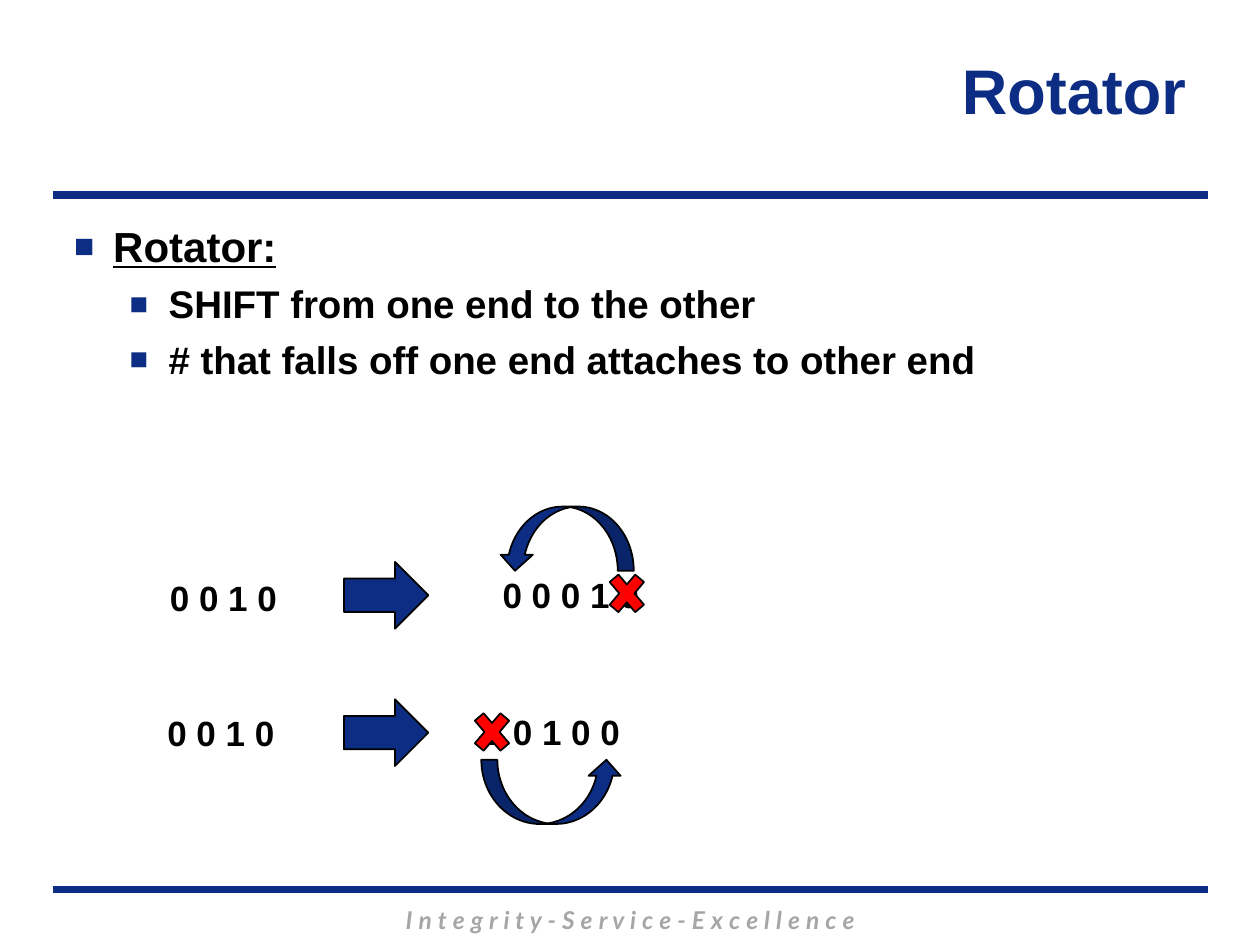
from lxml.etree import SubElement
from pptx import Presentation
from pptx.dml.color import RGBColor
from pptx.enum.shapes import MSO_CONNECTOR, MSO_SHAPE
from pptx.enum.text import MSO_ANCHOR, PP_ALIGN
from pptx.oxml.ns import qn
from pptx.util import Inches, Pt

# Content
NAVY, BLACK, RED, GREY = "0C2D83", "000000", "FF0000", "A6A6A6"
TITLE = "Rotator"
MOTTO = "I n t e g r i t y - S e r v i c e - E x c e l l e n c e"
BULLETS = [  # text, level, size, underlined
    ("Rotator:", 0, 24, True),
    ("SHIFT from one end to the other", 1, 22, False),
    ("# that falls off one end attaches to other end", 1, 22, False),
]
BULLET_INDENTS = [0.31, 0.75]
RULES = [1.55, 7.06]
NUMBERS = [  # text, left, top, width
    ("0 0 0 1 0", 3.89, 4.5, 1.29),
    ("1 0 1 0 0", 3.74, 5.59, 1.29),
    ("0 0 1 0", 1.25, 4.53, 1.06),
    ("0 0 1 0", 1.23, 5.6, 1.06),
]
SHAPES = [  # preset, left, top, width, height, fill, rotation
    (MSO_SHAPE.CURVED_UP_ARROW, 3.82, 6.03, 1.12, 0.51, NAVY, 0),
    (MSO_SHAPE.CURVED_UP_ARROW, 3.96, 4.02, 1.07, 0.51, NAVY, 180),
    (MSO_SHAPE.MATH_MULTIPLY, 4.78, 4.48, 0.39, 0.46, RED, 0),
    (MSO_SHAPE.MATH_MULTIPLY, 3.71, 5.58, 0.39, 0.46, RED, 0),
    (MSO_SHAPE.RIGHT_ARROW, 2.73, 4.46, 0.67, 0.53, NAVY, 0),
    (MSO_SHAPE.RIGHT_ARROW, 2.73, 5.55, 0.67, 0.53, NAVY, 0),
]

deck = Presentation()
deck.slide_width, deck.slide_height = Inches(10), Inches(7.5)
page = deck.slides.add_slide(deck.slide_layouts[6])


def color(value):
    return RGBColor.from_string(value)


def add_box(left, top, width, height, wrap=True, anchor=MSO_ANCHOR.TOP):
    box = page.shapes.add_textbox(*map(Inches, (left, top, width, height)))
    box.text_frame.word_wrap = wrap
    box.text_frame.vertical_anchor = anchor
    return box.text_frame


def write(para, text, fill, **formats):
    span = para.add_run()
    span.text = text
    span.font.color.rgb = color(fill)
    for name, value in {"name": "Arial", "bold": True, **formats}.items():
        setattr(span.font, name, value)
    return span


def add_bullet(para, indent):
    props = para._p.get_or_add_pPr()
    props.set("marL", str(Inches(indent)))
    props.set("indent", str(-Inches(0.31)))
    tint = SubElement(props, qn("a:buClr"))
    SubElement(tint, qn("a:srgbClr"), val=NAVY)
    SubElement(props, qn("a:buSzPct"), val="80000")
    SubElement(props, qn("a:buFont"), typeface="Arial")
    SubElement(props, qn("a:buChar"), char="■")


# Rules above and below the body
for y in RULES:
    rule = page.shapes.add_connector(
        MSO_CONNECTOR.STRAIGHT, *map(Inches, (0.42, y, 9.59, y)))
    rule.line.color.rgb = color(NAVY)
    rule.line.width = Pt(4.5)
    SubElement(rule._element.spPr, qn("a:effectLst"))

# Motto, its words set slightly apart
para = add_box(1.42, 7.13, 7.17, 0.34).paragraphs[0]
para.alignment = PP_ALIGN.CENTER
motto = write(para, MOTTO, GREY, name="Lato", size=Pt(14), italic=True)
motto.font._element.set("spc", "20")

# Title
para = add_box(2.09, 0.08, 7.42, 1.25, anchor=MSO_ANCHOR.MIDDLE).paragraphs[0]
para.alignment = PP_ALIGN.RIGHT
write(para, TITLE, NAVY, size=Pt(36))

# Bullets
frame = add_box(0.49, 1.7, 8.89, 1.75)
for index, (text, level, size, underlined) in enumerate(BULLETS):
    para = frame.add_paragraph() if index else frame.paragraphs[0]
    para.level = level
    if index:
        para.space_before = Pt(5.5)
    add_bullet(para, BULLET_INDENTS[level])
    write(para, text, BLACK, size=Pt(size), underline=underlined)

# Binary numbers
for text, left, top, width in NUMBERS:
    frame = add_box(left, top, width, 0.44, wrap=False)
    write(frame.paragraphs[0], text, BLACK, size=Pt(20))

# Arrows and crosses over the digits that fall off
for preset, left, top, width, height, fill, rotation in SHAPES:
    shape = page.shapes.add_shape(
        preset, *map(Inches, (left, top, width, height)))
    shape.rotation = rotation
    shape.shadow.inherit = False
    shape.fill.solid()
    shape.fill.fore_color.rgb = color(fill)
    shape.line.color.rgb = color(BLACK)
    shape.line.width = Pt(1)

deck.save("out.pptx")
